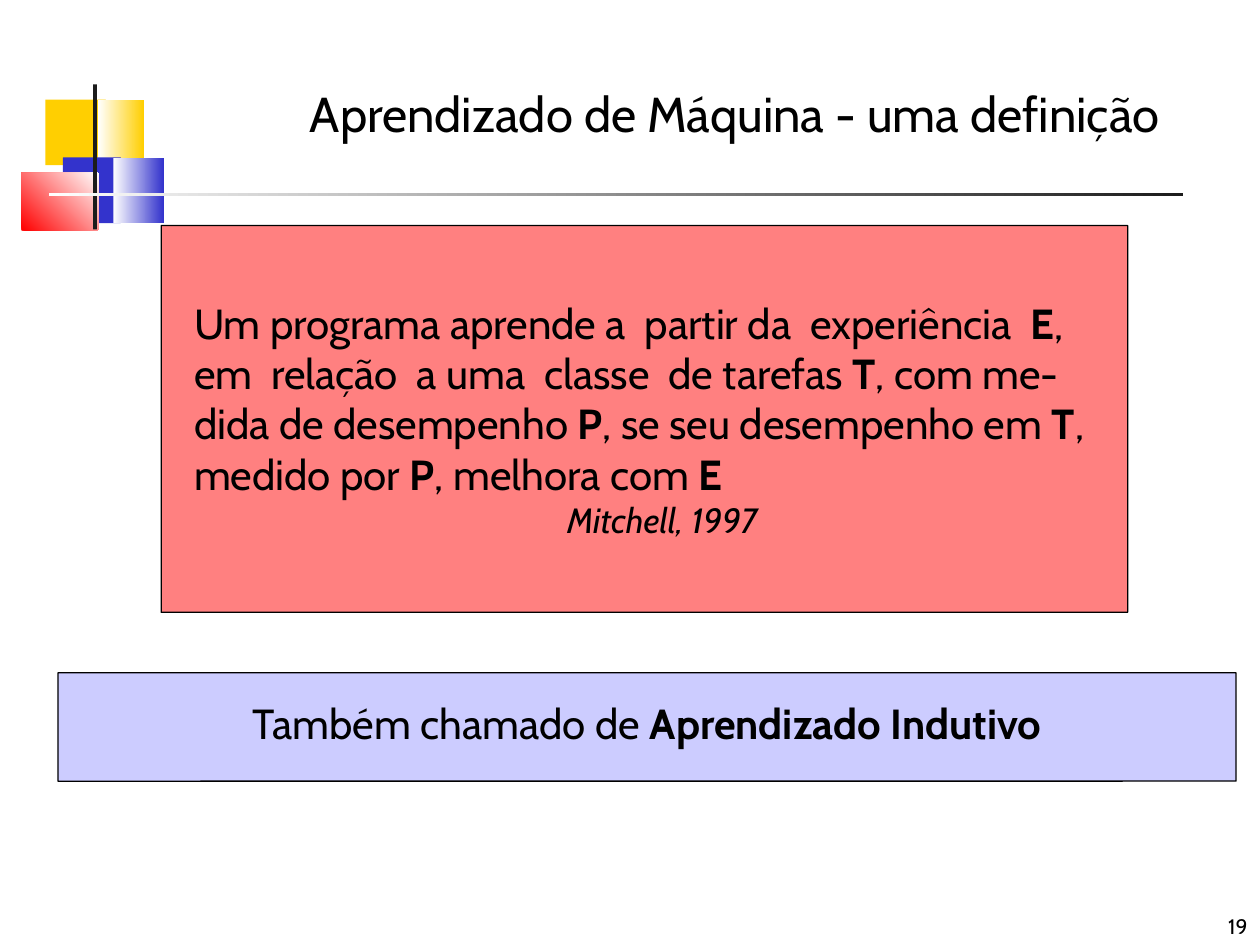
from typing import NamedTuple, Optional

from pptx import Presentation
from pptx import util as u
from pptx.dml.color import RGBColor
from pptx.enum import shapes, text

FONT = "Cabin"
BLACK = "000000"
DARK = "1C1C1C"
WHITE = "FFFFFF"


class Block(NamedTuple):
    left: float
    top: float
    width: float
    height: float
    fill: str
    fade_to: Optional[str] = None
    angle: float = 0
    line: Optional[str] = None
    corner: float = 0.005


class Run(NamedTuple):
    text: str
    bold: bool = False
    italic: bool = False
    size: float = 24


class Para(NamedTuple):
    runs: list[Run]
    align: text.PP_ALIGN = text.PP_ALIGN.LEFT
    spacing: Optional[float] = None
    indent: float = 0


ORNAMENT = [
    Block(0.36, 0.79, 0.48, 0.52, "FFCF01"),
    Block(0.78, 0.79, 0.36, 0.52, WHITE, "FFCF01"),
    Block(0.5, 1.25, 0.46, 0.52, "3333CC"),
    Block(0.9, 1.25, 0.4, 0.52, WHITE, "3333CC"),
    Block(0.17, 1.37, 0.61, 0.46, "FF0000", WHITE, 45),
    Block(0.74, 0.67, 0.03, 1.15, DARK, corner=0.05),
    Block(0.39, 1.53, 9, 0.03, WHITE, DARK, corner=0.05),
]
DEFINITION_BOX = Block(1.28, 1.79, 7.67, 3.07, "FF8080", line=BLACK, corner=0.001)
SYNONYM_BOX = Block(0.46, 5.34, 9.35, 0.86, "CCCCFF", line=BLACK, corner=0.002)

DEFINITION = [
    Para([Run("Um programa aprende a  partir da  experiência  "), Run("E", True), Run(",")]),
    Para([Run("em  relação  a uma  classe  de tarefas "), Run("T", True), Run(", com me-")]),
    Para([Run("dida de desempenho "), Run("P", True), Run(", se seu desempenho em "),
          Run("T", True), Run(",")]),
    Para([Run("medido por "), Run("P", True), Run(", melhora com "), Run("E", True)]),
    Para([Run("Mitchell, 1997", italic=True, size=20)], indent=2.96),
]
SYNONYM = [Para([Run("Também chamado de "), Run("Aprendizado Indutivo", True)],
                text.PP_ALIGN.CENTER, 24)]
TITLE = [Para([Run("Aprendizado de Máquina - uma definição", size=28)], spacing=28.1)]
PAGE_NUMBER = [Para([Run("19", size=12)], text.PP_ALIGN.RIGHT)]


def rgb(value: str) -> RGBColor:
    return RGBColor.from_string(value)


def add_block(s, block: Block):
    sp = s.shapes.add_shape(
        shapes.MSO_SHAPE.ROUNDED_RECTANGLE,
        *map(u.Inches, (block.left, block.top, block.width, block.height)))
    sp.adjustments[0] = block.corner
    sp.shadow.inherit = False
    if block.fade_to:
        sp.fill.gradient()
        sp.fill.gradient_angle = block.angle
        for stop, value in zip(sp.fill.gradient_stops, (block.fill, block.fade_to)):
            stop.color.rgb = rgb(value)
    else:
        sp.fill.solid()
        sp.fill.fore_color.rgb = rgb(block.fill)
    if block.line:
        sp.line.color.rgb = rgb(block.line)
        sp.line.width = u.Pt(0.75)
    else:
        sp.line.fill.background()
    return sp


def write(sp, paras: list[Para], anchor=text.MSO_ANCHOR.MIDDLE,
          insets: tuple = (0, 0, 0, 0)) -> None:
    tf = sp.text_frame
    left, top, right, bottom = map(u.Inches, insets)
    frame = {"word_wrap": True, "vertical_anchor": anchor, "margin_left": left,
             "margin_top": top, "margin_right": right, "margin_bottom": bottom}
    for name, value in frame.items():
        setattr(tf, name, value)
    for i, para in enumerate(paras):
        p = tf.add_paragraph() if i else tf.paragraphs[0]
        p.alignment = para.align
        if para.spacing:
            p.line_spacing = u.Pt(para.spacing)
        if para.indent:
            p._p.get_or_add_pPr().set("marL", str(u.Inches(para.indent)))
        for run in para.runs:
            r = p.add_run()
            r.text = run.text
            r.font.color.rgb = rgb(BLACK)
            style = {"name": FONT, "size": u.Pt(run.size),
                     "bold": run.bold, "italic": run.italic}
            for name, value in style.items():
                setattr(r.font, name, value)


def add_text(s, left: float, top: float, width: float, height: float,
             paras: list[Para], **frame) -> None:
    sp = s.shapes.add_textbox(*map(u.Inches, (left, top, width, height)))
    write(sp, paras, **frame)


def main() -> None:
    prs = Presentation()
    prs.slide_width, prs.slide_height = u.Inches(10), u.Inches(7.5)
    s = prs.slides.add_slide(prs.slide_layouts[6])
    for block in ORNAMENT:
        add_block(s, block)
    add_text(s, 7.92, 7.2, 2.08, 0.3, PAGE_NUMBER,
             anchor=text.MSO_ANCHOR.BOTTOM, insets=(0.1, 0.05, 0.1, 0.05))
    add_text(s, 1.46, 0.31, 8.54, 1.25, TITLE, insets=(1, 0, 0, 0))
    write(add_block(s, DEFINITION_BOX), DEFINITION, insets=(0.26, 0, 0, 0))
    write(add_block(s, SYNONYM_BOX), SYNONYM)
    prs.save("out.pptx")


if __name__ == "__main__":
    main()
